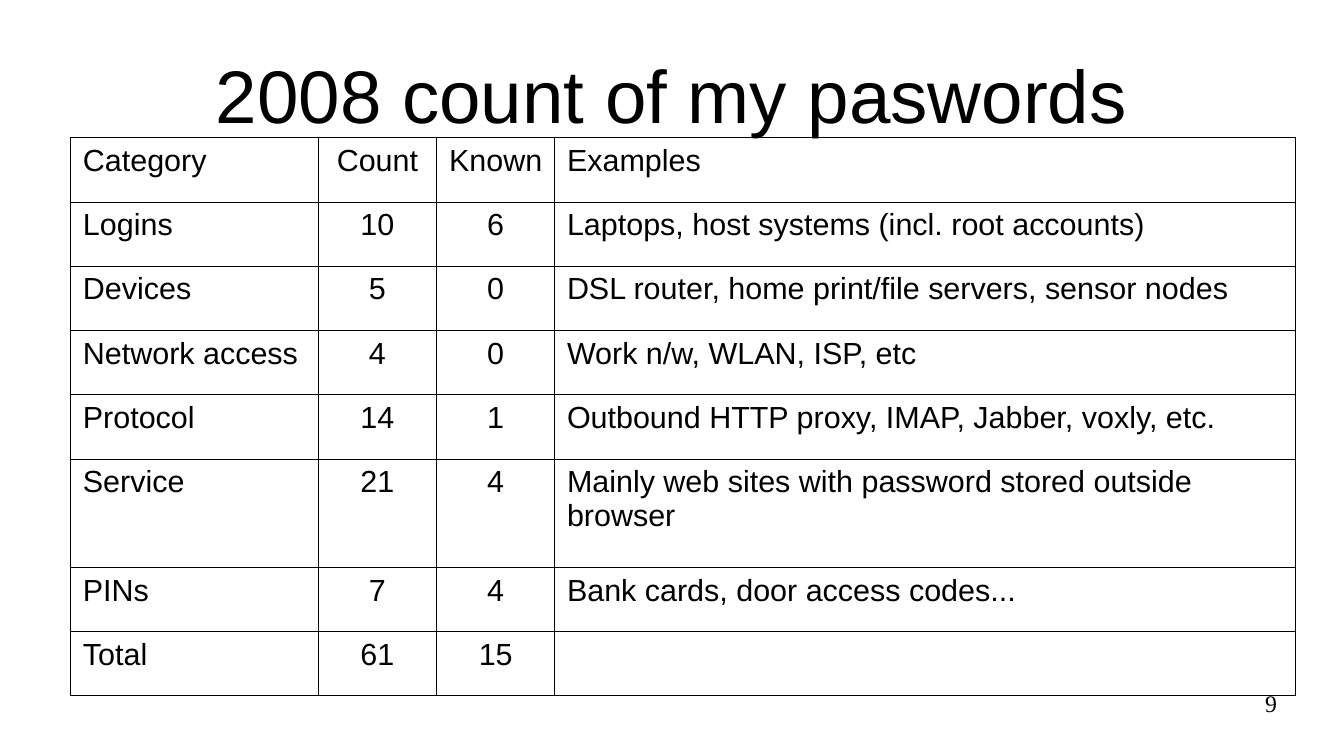
import dataclasses

import pptx
import pptx.dml.color
import pptx.enum.text
import pptx.oxml
import pptx.oxml.ns
import pptx.util

Inches = pptx.util.Inches
Pt = pptx.util.Pt
ALIGN = pptx.enum.text.PP_ALIGN
ANCHOR = pptx.enum.text.MSO_ANCHOR


@dataclasses.dataclass(frozen=True)
class Theme:
    ink: str = "000000"
    paper: str = "FFFFFF"
    sans: str = "Arial"
    serif: str = "Times New Roman"
    title_size: int = 44
    table_size: int = 18
    number_size: int = 14
    border_width: float = 0.57


theme = Theme()


def write_text(text_frame, text, size, font_name, alignment, margins=(0, 0)):
    """Fill a frame with one run; margins are horizontal and vertical inches."""
    text_frame.margin_left = text_frame.margin_right = Inches(margins[0])
    text_frame.margin_top = text_frame.margin_bottom = Inches(margins[1])
    text_frame.word_wrap = True
    paragraph = text_frame.paragraphs[0]
    paragraph.alignment = alignment
    run = paragraph.add_run()
    run.text = text
    run.font.size = Pt(size)
    run.font.name = font_name
    run.font.color.rgb = pptx.dml.color.RGBColor.from_string(theme.ink)


def add_borders(cell):
    properties = cell._tc.get_or_add_tcPr()
    for position, side in enumerate(("lnL", "lnR", "lnT", "lnB")):
        border = pptx.oxml.parse_xml(
            f'<a:{side} {pptx.oxml.ns.nsdecls("a")} w="{int(Pt(theme.border_width))}">'
            f'<a:solidFill><a:srgbClr val="{theme.ink}"/></a:solidFill></a:{side}>'
        )
        properties.insert(position, border)


presentation = pptx.Presentation()
presentation.slide_width = Inches(11.02)
presentation.slide_height = Inches(6.2)
slide = presentation.slides.add_slide(presentation.slide_layouts[5])
slide.background.fill.solid()
slide.background.fill.fore_color.rgb = pptx.dml.color.RGBColor.from_string(theme.paper)

# Title
title = slide.shapes.title
title.left, title.top = Inches(0.55), Inches(0.25)
title.width, title.height = Inches(9.92), Inches(1.04)
title.text_frame.vertical_anchor = ANCHOR.MIDDLE
write_text(title.text_frame, "2008 count of my paswords",
           theme.title_size, theme.sans, ALIGN.CENTER)

# Password table
password_rows = [
    ("Category", "Count", "Known", "Examples"),
    ("Logins", "10", "6", "Laptops, host systems (incl. root accounts)"),
    ("Devices", "5", "0", "DSL router, home print/file servers, sensor nodes"),
    ("Network access", "4", "0", "Work n/w, WLAN, ISP, etc"),
    ("Protocol", "14", "1", "Outbound HTTP proxy, IMAP, Jabber, voxly, etc."),
    ("Service", "21", "4", "Mainly web sites with password stored outside browser"),
    ("PINs", "7", "4", "Bank cards, door access codes..."),
    ("Total", "61", "15", ""),
]
column_widths = (2.03, 0.97, 0.97, 6.07)
column_alignments = (ALIGN.LEFT, ALIGN.CENTER, ALIGN.CENTER, ALIGN.LEFT)
table_height = 4.58
tall_height = 0.89
plain_height = (table_height - tall_height) / (len(password_rows) - 1)

table = slide.shapes.add_table(
    len(password_rows), len(column_widths), Inches(0.58), Inches(1.13),
    Inches(sum(column_widths)), Inches(table_height),
).table
table.first_row = False
table.horz_banding = False
for column, width in zip(table.columns, column_widths):
    column.width = Inches(width)

for table_row, texts in zip(table.rows, password_rows):
    table_row.height = Inches(tall_height if texts[0] == "Service" else plain_height)
    for cell, text, alignment in zip(table_row.cells, texts, column_alignments):
        cell.fill.background()
        add_borders(cell)
        if text:
            write_text(cell.text_frame, text, theme.table_size, theme.sans,
                       alignment, margins=(0.1, 0.05))

# Page number
page_number = slide.shapes.add_textbox(Inches(7.9), Inches(5.65), Inches(2.57), Inches(0.43))
write_text(page_number.text_frame, "9", theme.number_size, theme.serif, ALIGN.RIGHT)

presentation.save("out.pptx")
